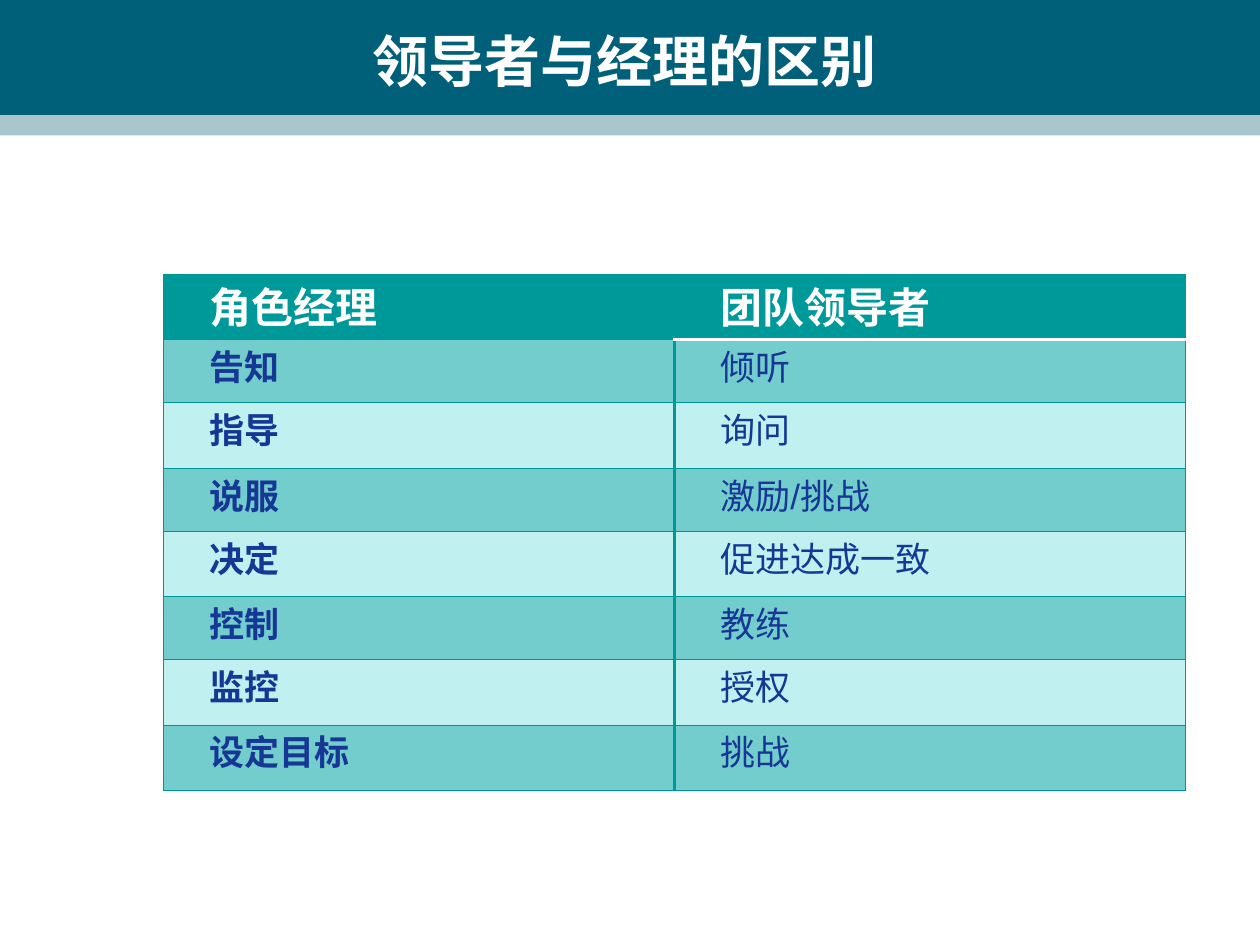
"""Build a slide with a table that contrasts managers and team leaders."""
from dataclasses import dataclass

from lxml import etree
from pptx import Presentation
from pptx.dml.color import RGBColor
from pptx.enum import shapes, text
from pptx.oxml import ns
from pptx.util import Cm, Pt


@dataclass(frozen=True)
class Theme:
    band: str = "00607A"
    strip: str = "A9C6CC"
    white: str = "FFFFFF"
    header: str = "009999"
    grid: str = "009696"
    dark_row: str = "73CDCD"
    light_row: str = "C0F0F0"
    ink: str = "163794"
    title_font: str = "DejaVu Sans"
    body_font: str = "Arial"
    title_size: int = 32
    header_size: int = 24
    body_size: int = 20
    thin: float = 0.75
    thick: float = 2


def add_span(para, words, font, size, color, bold):
    span = para.add_run()
    span.text = words
    span.font.name = font
    span.font.size = Pt(size)
    span.font.bold = bold
    span.font.color.rgb = RGBColor.from_string(color)


def add_border(cell, side, color, width):
    properties = cell._tc.get_or_add_tcPr()
    line = etree.SubElement(properties, ns.qn(f"a:ln{side}"), w=str(Pt(width)))
    fill = etree.SubElement(line, ns.qn("a:solidFill"))
    etree.SubElement(fill, ns.qn("a:srgbClr"), val=color)


theme = Theme()
rows = [
    ("角色经理", "团队领导者"),
    ("告知", "倾听"),
    ("指导", "询问"),
    ("说服", "激励/挑战"),
    ("决定", "促进达成一致"),
    ("控制", "教练"),
    ("监控", "授权"),
    ("设定目标", "挑战"),
]
row_heights = [1.32, 1.27, 1.32, 1.27, 1.32, 1.27, 1.32, 1.32]
column_width = 10.3

deck = Presentation()
deck.slide_width, deck.slide_height = Cm(25.4), Cm(19.05)
page = deck.slides.add_slide(deck.slide_layouts[5])

title = page.shapes.title
title.left, title.top, title.width, title.height = Cm(0.84), Cm(0.43), Cm(23.5), Cm(1.57)
title.text_frame.vertical_anchor = text.MSO_ANCHOR.MIDDLE
para = title.text_frame.paragraphs[0]
para.alignment = text.PP_ALIGN.CENTER
add_span(para, "领导者与经理的区别", theme.title_font, theme.title_size, theme.white, True)

for top, height, color in [(0, 2.32, theme.band), (2.32, 0.41, theme.strip)]:
    bar = page.shapes.add_shape(
        shapes.MSO_SHAPE.RECTANGLE, 0, Cm(top), deck.slide_width, Cm(height))
    bar.shadow.inherit = False
    bar.fill.solid()
    bar.fill.fore_color.rgb = RGBColor.from_string(color)
    bar.line.fill.background()
    title.element.addprevious(bar.element)

table = page.shapes.add_table(
    len(rows), 2, Cm(3.3), Cm(5.53), Cm(2 * column_width), Cm(sum(row_heights))).table
for column in table.columns:
    column.width = Cm(column_width)

for r, (words, height) in enumerate(zip(rows, row_heights)):
    table.rows[r].height = Cm(height)
    is_header = r == 0
    size = theme.header_size if is_header else theme.body_size
    ink = theme.white if is_header else theme.ink
    shade = theme.header if is_header else (theme.light_row, theme.dark_row)[r % 2]
    for c, label in enumerate(words):
        cell = table.cell(r, c)
        cell.margin_left = cell.margin_right = Cm(0.18)
        cell.margin_top = cell.margin_bottom = 0

        thin, divider = (theme.grid, theme.thin), (theme.header, theme.thick)
        underline = (theme.white, theme.thick)
        borders = {"L": thin, "R": thin, "T": thin, "B": thin}
        borders["L" if c else "R"] = divider
        if c == 1 and r < 2:
            borders["B" if is_header else "T"] = underline
        for side, (color, width) in borders.items():
            add_border(cell, side, color, width)

        cell.fill.solid()
        cell.fill.fore_color.rgb = RGBColor.from_string(shade)
        para = cell.text_frame.paragraphs[0]
        para.alignment = text.PP_ALIGN.JUSTIFY
        indent = para._p.get_or_add_pPr()
        indent.set("marL", "0")
        indent.set("indent", str(Cm(0.74)))
        add_span(para, label, theme.body_font, size, ink, is_header or c == 0)

deck.save("out.pptx")
